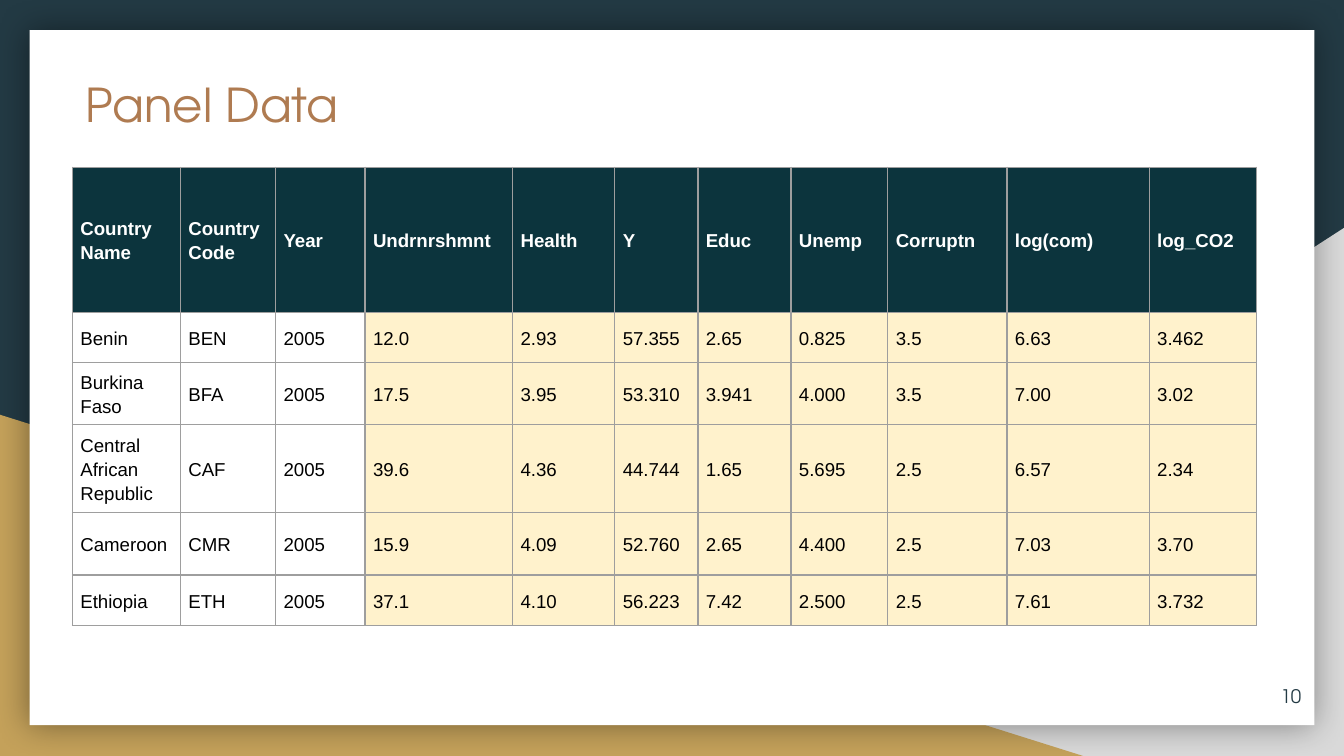
"""Build the Panel Data slide: a country indicator table on a white card."""
from lxml import etree
from pptx import Presentation
from pptx import util as u
from pptx.dml.color import RGBColor
from pptx.enum import shapes, text
from pptx.oxml import ns

TITLE = "Panel Data"
PAGE = "10"
HEADINGS = ("Country Name", "Country Code", "Year", "Undrnrshmnt", "Health", "Y",
            "Educ", "Unemp", "Corruptn", "log(com)", "log_CO2")
COUNTRIES = [
    ("Benin", "BEN", "2005", "12.0", "2.93", "57.355", "2.65", "0.825", "3.5", "6.63", "3.462"),
    ("Burkina Faso", "BFA", "2005", "17.5", "3.95", "53.310", "3.941", "4.000", "3.5", "7.00", "3.02"),
    ("Central African Republic", "CAF", "2005", "39.6", "4.36", "44.744", "1.65", "5.695", "2.5", "6.57", "2.34"),
    ("Cameroon", "CMR", "2005", "15.9", "4.09", "52.760", "2.65", "4.400", "2.5", "7.03", "3.70"),
    ("Ethiopia", "ETH", "2005", "37.1", "4.10", "56.223", "7.42", "2.500", "2.5", "7.61", "3.732"),
]
COLUMN_WIDTHS = (2.04, 1.8, 1.69, 2.79, 1.93, 1.57, 1.76, 1.83, 2.25, 2.69, 2.03)
ROW_HEIGHTS = (2.74, 0.95, 1.18, 1.66, 1.18, 0.95)
ID_COLUMNS = 3

NAVY = RGBColor(0x23, 0x3A, 0x44)
GREY = RGBColor(0xD9, 0xD9, 0xD9)
GOLD = RGBColor(0xC4, 0xA1, 0x5A)
WHITE = RGBColor(0xFF, 0xFF, 0xFF)
BLACK = RGBColor(0x00, 0x00, 0x00)
TEAL = RGBColor(0x0C, 0x34, 0x3D)
CREAM = RGBColor(0xFF, 0xF2, 0xCC)
COPPER = RGBColor(0xAF, 0x7B, 0x51)
BORDER = RGBColor(0x9E, 0x9E, 0x9E)
DISPLAY_FONT = "TeX Gyre Adventor"
TABLE_FONT = "Arial"


def add_panel(slide, kind, box, color):
    panel = slide.shapes.add_shape(kind, *map(u.Cm, box))
    panel.shadow.inherit = False
    panel.fill.solid()
    panel.fill.fore_color.rgb = color
    panel.line.fill.background()
    return panel


def add_glow_shadow(panel):
    effects = panel._element.spPr.find(ns.qn("a:effectLst"))
    shadow = etree.SubElement(effects, ns.qn("a:outerShdw"), blurRad=str(u.Pt(18)),
                              dist="0", dir="0", algn="ctr", rotWithShape="0")
    color = etree.SubElement(shadow, ns.qn("a:srgbClr"), val=str(BLACK))
    etree.SubElement(color, ns.qn("a:alpha"), val="40000")


def write(paragraph, words, size, font, color, bold=False):
    run = paragraph.add_run()
    run.text = words
    run.font.size = u.Pt(size)
    run.font.name = font
    run.font.color.rgb = color
    run.font.bold = bold


def set_insets(frame, inset):
    frame.margin_left = frame.margin_right = u.Cm(inset)
    frame.margin_top = frame.margin_bottom = u.Cm(inset)


def add_borders(cell):
    properties = cell._tc.get_or_add_tcPr()
    for index, side in enumerate(("lnL", "lnR", "lnT", "lnB")):
        line = etree.Element(ns.qn(f"a:{side}"), w=str(u.Pt(0.75)))
        fill = etree.SubElement(line, ns.qn("a:solidFill"))
        etree.SubElement(fill, ns.qn("a:srgbClr"), val=str(BORDER))
        properties.insert(index, line)


def fill_cell(cell, words, fill, color, bold):
    cell.fill.solid()
    cell.fill.fore_color.rgb = fill
    cell.vertical_anchor = text.MSO_ANCHOR.MIDDLE
    cell.margin_left = cell.margin_right = u.Cm(0.15)
    cell.margin_top = cell.margin_bottom = u.Cm(0.13)
    paragraph = cell.text_frame.paragraphs[0]
    paragraph.line_spacing = 1.15
    write(paragraph, words, 10, TABLE_FONT, color, bold)
    add_borders(cell)


def add_indicators(slide):
    records = [HEADINGS, *COUNTRIES]
    indicators = slide.shapes.add_table(
        len(records), len(HEADINGS), u.Cm(1.37), u.Cm(3.16),
        u.Cm(sum(COLUMN_WIDTHS)), u.Cm(sum(ROW_HEIGHTS))).table
    for column, width in zip(indicators.columns, COLUMN_WIDTHS):
        column.width = u.Cm(width)
    for row, height in zip(indicators.rows, ROW_HEIGHTS):
        row.height = u.Cm(height)
    for r, record in enumerate(records):
        for c, words in enumerate(record):
            heading = r == 0
            fill = TEAL if heading else WHITE if c < ID_COLUMNS else CREAM
            fill_cell(indicators.cell(r, c), words, fill, WHITE if heading else BLACK, heading)


def place_title(slide):
    title = slide.shapes.title
    title.left, title.top, title.width, title.height = map(u.Cm, (1.37, 1.19, 21.74, 1.96))
    frame = title.text_frame
    set_insets(frame, 0.25)
    frame.word_wrap = True
    frame.vertical_anchor = text.MSO_ANCHOR.TOP
    frame.paragraphs[0].alignment = text.PP_ALIGN.LEFT
    write(frame.paragraphs[0], TITLE, 25, DISPLAY_FONT, COPPER)
    slide.shapes._spTree.append(title._element)


def add_page_number(slide):
    frame = slide.shapes.add_textbox(*map(u.Cm, (23.32, 12.62, 1.52, 1.09))).text_frame
    set_insets(frame, 0.25)
    frame.word_wrap = True
    frame.vertical_anchor = text.MSO_ANCHOR.MIDDLE
    frame.paragraphs[0].alignment = text.PP_ALIGN.RIGHT
    write(frame.paragraphs[0], PAGE, 10, DISPLAY_FONT, NAVY)


def main():
    deck = Presentation()
    deck.slide_width, deck.slide_height = u.Cm(25.4), u.Cm(14.29)
    slide = deck.slides.add_slide(deck.slide_layouts[5])
    slide.background.fill.solid()
    slide.background.fill.fore_color.rgb = NAVY

    triangle = shapes.MSO_SHAPE.RIGHT_TRIANGLE
    grey_corner = add_panel(slide, triangle, (9.96, 4.31, 15.44, 9.98), GREY)
    grey_corner._element.spPr.xfrm.set("flipH", "1")
    add_panel(slide, triangle, (0, 7.84, 20.47, 6.45), GOLD)
    card = add_panel(slide, shapes.MSO_SHAPE.RECTANGLE, (0.56, 0.57, 24.28, 13.14), WHITE)
    add_glow_shadow(card)

    add_indicators(slide)
    place_title(slide)
    add_page_number(slide)
    deck.save("out.pptx")


if __name__ == "__main__":
    main()
